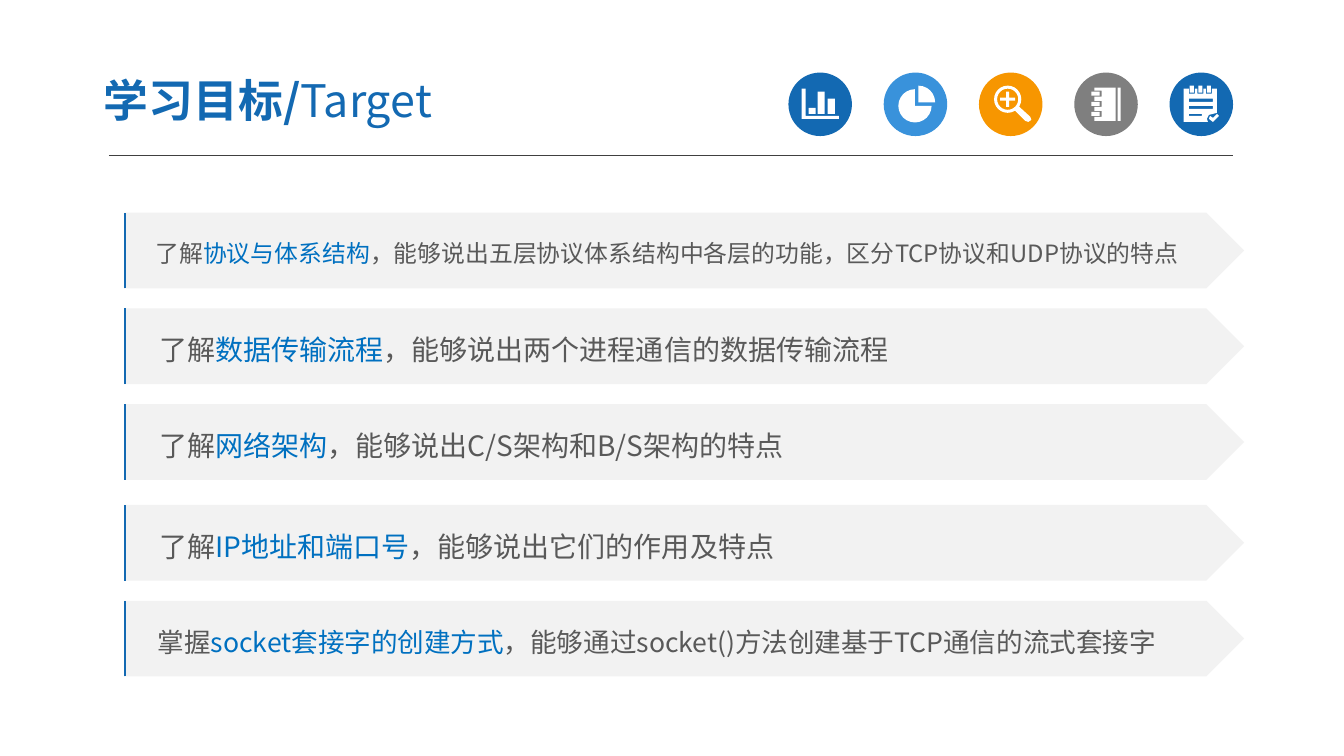
from math import cos, radians, sin

from pptx import Presentation
from pptx.dml.color import RGBColor
from pptx.enum.shapes import MSO_CONNECTOR, MSO_SHAPE as S
from pptx.enum.text import MSO_ANCHOR, PP_ALIGN
from pptx.util import Inches, Pt
from lxml import etree

FONT = "Noto Sans CJK SC"
BLUE, SKY, ORANGE, GREY, WHITE = "1369B2", "3992DB", "F79600", "7F7F7F", "FFFFFF"
BODY, KEYWORD, BAND, RULE = "595959", "0070C0", "F2F2F2", "404040"
NS = "{http://schemas.openxmlformats.org/drawingml/2006/main}"

prs = Presentation()
prs.slide_width, prs.slide_height = Inches(13.33), Inches(7.5)
slide = prs.slides.add_slide(prs.slide_layouts[5])
shapes = slide.shapes


def paint(shape, value):
    shape.shadow.inherit = False
    shape.fill.solid()
    shape.fill.fore_color.rgb = RGBColor.from_string(value)
    shape.line.fill.background()


def write(paragraph, text, size, ink, bold=False):
    run = paragraph.add_run()
    run.text = text
    run.font.size, run.font.bold, run.font.name = Pt(size), bold, FONT
    run.font.color.rgb = RGBColor.from_string(ink)
    etree.SubElement(run.font._element, NS + "ea", typeface=FONT)


# Title
title = shapes.title
title.left, title.top, title.width, title.height = map(Inches, (0.9, 0.63, 5.22, 0.72))
frame = title.text_frame
frame.word_wrap, frame.vertical_anchor = True, MSO_ANCHOR.MIDDLE
frame.margin_left = frame.margin_right = Inches(0.13)
frame.margin_top = frame.margin_bottom = Inches(0.07)
heading = frame.paragraphs[0]
heading.alignment = PP_ALIGN.LEFT
write(heading, "学习目标/", size=32, ink=BLUE, bold=True)
write(heading, "Target", size=32, ink=BLUE)

# Outlines with notches, measured from the corner of their disc
page = [(0.14, 0.16)]
for x in (0.22, 0.305, 0.39):
    page += [(x - 0.03, 0.16), (x - 0.03, 0.21), (x + 0.03, 0.21), (x + 0.03, 0.16)]
page += [(0.47, 0.16), (0.47, 0.4), (0.39, 0.42), (0.37, 0.46), (0.38, 0.49), (0.14, 0.49)]
tick = [(0.4, 0.43), (0.43, 0.45), (0.47, 0.41), (0.49, 0.43), (0.43, 0.49), (0.39, 0.46)]
cover = [(0.41, 0.15), (0.41, 0.48), (0.2, 0.48)]
for y in (0.41, 0.31, 0.21):
    cover += [(0.2, y + 0.03), (0.27, y + 0.03), (0.27, y - 0.03), (0.2, y - 0.03)]
cover.append((0.2, 0.15))
plus = [(0.27, 0.19), (0.3, 0.19), (0.3, 0.25), (0.36, 0.25), (0.36, 0.28), (0.3, 0.28),
        (0.3, 0.34), (0.27, 0.34), (0.27, 0.28), (0.21, 0.28), (0.21, 0.25), (0.27, 0.25)]
handle = [(0.4, 0.34), (0.38, 0.36), (0.36, 0.38), (0.46, 0.48), (0.49, 0.49), (0.52, 0.47), (0.51, 0.44)]
axes = [(0.13, 0.16), (0.17, 0.16), (0.17, 0.43), (0.5, 0.43), (0.5, 0.46), (0.13, 0.46)]

# Icons: disc colour, outlines, boxes (x, y, w, h), sectors (x, y, radius, from, to)
icons = [
    (BLUE, [axes], [(0.2, 0.35, 0.07, 0.06), (0.29, 0.19, 0.07, 0.22), (0.39, 0.26, 0.07, 0.15)], []),
    (SKY, [], [], [(0.31, 0.33, 0.165, 0, 270), (0.345, 0.295, 0.165, 270, 360)]),
    (ORANGE, [handle, plus], [], [(0.285, 0.265, 0.135, 0, 360), (0.285, 0.265, 0.105, 0, 360)]),
    (GREY, [cover], [(0.43, 0.15, 0.03, 0.33)] + [(0.17, y, 0.08, 0.04) for y in (0.19, 0.29, 0.39)], []),
    (BLUE, [page, tick],
     [(x, 0.13, 0.04, 0.07) for x in (0.2, 0.285, 0.37)]
     + [(0.19, 0.26, 0.24, 0.03), (0.19, 0.33, 0.24, 0.03), (0.19, 0.41, 0.13, 0.02)], []),
]
DISC, DISC_LEFT, DISC_TOP, DISC_PITCH, ARC_STEP = 0.63, 7.82, 0.72, 0.945, 15
for column, (disc_fill, outlines, boxes, sectors) in enumerate(icons):
    disc_x = DISC_LEFT + column * DISC_PITCH
    disc = shapes.add_shape(S.OVAL, *map(Inches, (disc_x, DISC_TOP, DISC, DISC)))
    paint(disc, disc_fill)
    contours = list(outlines)
    for x, y, w, h in boxes:
        contours.append([(x, y), (x + w, y), (x + w, y + h), (x, y + h)])
    for x, y, radius, start, end in sectors:
        arc = [(x + radius * cos(radians(a)), y + radius * sin(radians(a)))
               for a in range(start, end + 1, ARC_STEP)]
        contours.append(arc if end - start == 360 else [(x, y)] + arc)
    symbol = None
    for contour in contours:
        points = [(Inches(disc_x + x), Inches(DISC_TOP + y)) for x, y in contour]
        if symbol is None:
            symbol = shapes.build_freeform(*points[0])
        else:
            symbol.move_to(*points[0])
        symbol.add_line_segments(points[1:], close=True)
    paint(symbol.convert_to_shape(), WHITE)

# Goals: size, opening, keyword, rest
goals = [
    (17, "了解", "协议与体系结构", "，能够说出五层协议体系结构中各层的功能，区分TCP协议和UDP协议的特点"),
    (20, "了解", "数据传输流程", "，能够说出两个进程通信的数据传输流程"),
    (20, "了解", "网络架构", "，能够说出C/S架构和B/S架构的特点"),
    (20, "了解", "IP地址和端口号", "，能够说出它们的作用及特点"),
    (19, "掌握", "socket套接字的创建方式", "，能够通过socket()方法创建基于TCP通信的流式套接字"),
]
ROW_TOP, ROW_PITCH, ROW_HEIGHT, GROUP_GAP = 2.11, 0.95, 0.75, 0.05
rules = [(1.08, 1.54, 12.23, 1.54, RULE, 0.75)]
for row, (size, opening, keyword, rest) in enumerate(goals):
    top = ROW_TOP + row * ROW_PITCH + (GROUP_GAP if row > 2 else 0)
    goal = shapes.add_shape(S.PENTAGON, *map(Inches, (1.23, top, 11.11, ROW_HEIGHT)))
    paint(goal, BAND)
    frame = goal.text_frame
    frame.word_wrap, frame.vertical_anchor = True, MSO_ANCHOR.MIDDLE
    frame.margin_left = Inches(0.1) + Pt(size * 0.89)
    sentence = frame.paragraphs[0]
    sentence.alignment, sentence.line_spacing = PP_ALIGN.LEFT, 1.2
    for text, ink in ((opening, BODY), (keyword, KEYWORD), (rest, BODY)):
        write(sentence, text, size=size, ink=ink)
    rules.append((1.24, top + ROW_HEIGHT, 1.24, top, BLUE, 1.5))

# Title rule and the accent edge of each goal
for x1, y1, x2, y2, ink, weight in rules:
    rule = shapes.add_connector(MSO_CONNECTOR.STRAIGHT, *map(Inches, (x1, y1, x2, y2)))
    rule.line.color.rgb, rule.line.width = RGBColor.from_string(ink), Pt(weight)
    etree.SubElement(rule._element.spPr, NS + "effectLst")

prs.save("out.pptx")
